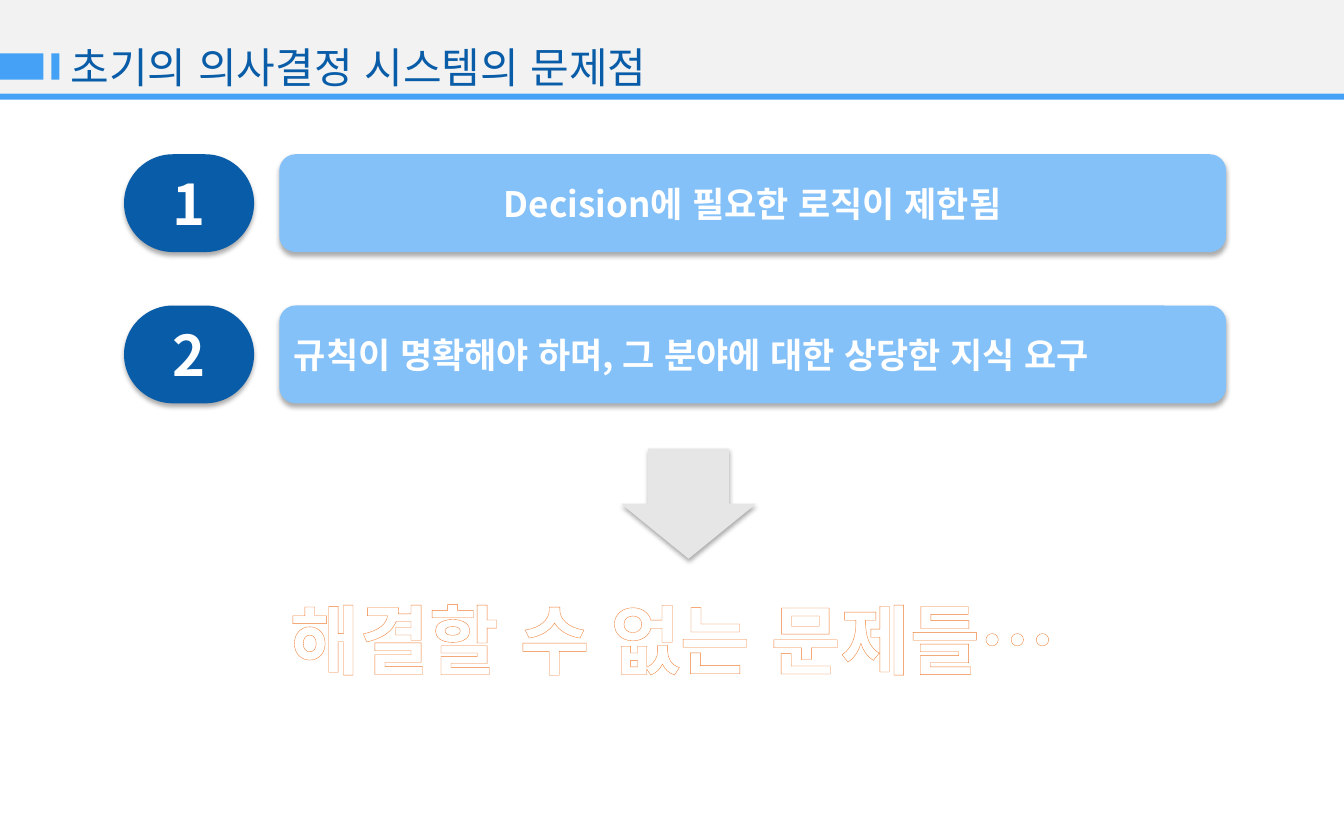
from lxml.etree import SubElement
from pptx import Presentation
from pptx.dml.color import RGBColor
from pptx.enum.lang import MSO_LANGUAGE_ID
from pptx.enum.shapes import MSO_SHAPE
from pptx.enum.text import MSO_ANCHOR, MSO_AUTO_SIZE, PP_ALIGN
from pptx.oxml import parse_xml
from pptx.oxml.ns import nsdecls, qn
from pptx.util import Inches, Pt

PALE_GRAY = RGBColor(0xF2, 0xF2, 0xF2)
ARROW_GRAY = RGBColor(0xE7, 0xE6, 0xE6)
BRIGHT_BLUE = RGBColor(0x45, 0xA1, 0xF5)
LIGHT_BLUE = RGBColor(0x84, 0xC1, 0xF8)
DARK_BLUE = RGBColor(0x09, 0x5C, 0xA7)
WHITE = RGBColor(0xFF, 0xFF, 0xFF)
ORANGE = RGBColor(0xED, 0x7D, 0x31)
KOREAN_FONT = "Noto Sans CJK KR"

TITLE_FORMAT = {"size": Pt(30), "bold": False, "name": KOREAN_FONT}
BAR_FORMAT = {"size": Pt(25), "bold": True, "name": KOREAN_FONT}
NUMBER_FORMAT = {"size": Pt(40), "bold": True, "name": KOREAN_FONT}
CLOSING_FORMAT = {"size": Pt(54), "bold": True, "name": "Calibri"}

PROBLEMS = [
    ("Decision에 필요한 로직이 제한됨", PP_ALIGN.CENTER),
    ("규칙이 명확해야 하며, 그 분야에 대한 상당한 지식 요구", PP_ALIGN.LEFT),
]


def write_text(shape, text, color, alignment, anchor, font_format):
    """Write one formatted Korean paragraph and return its span."""
    shape.text_frame.vertical_anchor = anchor
    para = shape.text_frame.paragraphs[0]
    para.alignment = alignment
    span = para.add_run()
    span.text = text
    span.font.color.rgb = color
    span.font.language_id = MSO_LANGUAGE_ID.KOREAN
    for name, value in font_format.items():
        setattr(span.font, name, value)
    SubElement(span.font._element, qn("a:ea"), typeface=KOREAN_FONT)
    return span


def add_block(page, kind, left, top, width, height, color):
    """Add a filled shape without line or shadow, measured in inches."""
    block = page.shapes.add_shape(
        kind, Inches(left), Inches(top), Inches(width), Inches(height)
    )
    block.shadow.inherit = False
    block.fill.solid()
    block.fill.fore_color.rgb = color
    block.line.fill.background()
    return block


def drop_shadow(shape):
    """Give the shape a soft shadow below it."""
    effects = shape._element.spPr.find(qn("a:effectLst"))
    effects.append(parse_xml(
        f'<a:outerShdw {nsdecls("a")} blurRad="{Pt(3.5)}" dist="{Pt(2.2)}" '
        'dir="5400000" algn="t" rotWithShape="0"><a:srgbClr val="000000">'
        '<a:alpha val="32000"/></a:srgbClr></a:outerShdw>'
    ))


def add_header(page, width, height):
    """Place the title band, its markers, the rule and the title."""
    add_block(page, MSO_SHAPE.RECTANGLE, 0, 0, width, height, PALE_GRAY)
    for left, marker_width in ((0, 0.43), (0.51, 0.08)):
        add_block(page, MSO_SHAPE.RECTANGLE, left, height - 0.4,
                  marker_width, 0.26, BRIGHT_BLUE)
    add_block(page, MSO_SHAPE.RECTANGLE, 0, height, width, 0.06, BRIGHT_BLUE)
    title = page.shapes.title
    title.left, title.top = Inches(0.6), Inches(height - 0.57)
    title.width, title.height = Inches(6.61), Inches(0.61)
    title.text_frame.auto_size = MSO_AUTO_SIZE.NONE
    write_text(title, "초기의 의사결정 시스템의 문제점", DARK_BLUE,
               PP_ALIGN.LEFT, MSO_ANCHOR.TOP, TITLE_FORMAT)
    page.shapes._spTree.append(title._element)


def add_problem(page, left, top, number, text, alignment):
    """Place a numbered badge and the bar beside it."""
    bar = add_block(page, MSO_SHAPE.ROUNDED_RECTANGLE, left + 1.54, top,
                    9.39, 0.97, LIGHT_BLUE)
    badge = add_block(page, MSO_SHAPE.ROUNDED_RECTANGLE, left, top,
                      1.29, 0.97, DARK_BLUE)
    badge.adjustments[0] = 0.5
    for shape in (bar, badge):
        drop_shadow(shape)
    write_text(bar, text, WHITE, alignment, MSO_ANCHOR.MIDDLE, BAR_FORMAT)
    write_text(badge, str(number), WHITE, PP_ALIGN.CENTER,
               MSO_ANCHOR.MIDDLE, NUMBER_FORMAT)


def add_arrow(page, left, top, width, height):
    """Place the arrow that leads down to the conclusion."""
    arrow = add_block(page, MSO_SHAPE.DOWN_ARROW, left, top,
                      width, height, ARROW_GRAY)
    arrow.adjustments[0] = 0.6
    arrow.adjustments[1] = 0.5
    drop_shadow(arrow)


def add_closing(page, left, top, width, height):
    """Place the outlined concluding words."""
    box = page.shapes.add_textbox(
        Inches(left), Inches(top), Inches(width), Inches(height)
    )
    box.text_frame.word_wrap = False
    span = write_text(box, "해결할 수 없는 문제들…", WHITE, PP_ALIGN.CENTER,
                      MSO_ANCHOR.TOP, CLOSING_FORMAT)
    span.font._element.insert(0, parse_xml(
        f'<a:ln {nsdecls("a")} w="{Pt(0.52)}"><a:solidFill>'
        f'<a:srgbClr val="{ORANGE}"/></a:solidFill></a:ln>'
    ))


def main():
    """Build the slide and save it."""
    deck = Presentation()
    deck.slide_width, deck.slide_height = Inches(13.33), Inches(8.33)
    page = deck.slides.add_slide(deck.slide_layouts[5])
    add_header(page, 13.33, 0.93)
    for index, (text, alignment) in enumerate(PROBLEMS):
        add_problem(page, 1.23, 1.53 + 1.5 * index, index + 1, text, alignment)
    add_arrow(page, 6.16, 4.45, 1.34, 1.09)
    add_closing(page, 2.6, 5.83, 8.14, 1.01)
    deck.save("out.pptx")


if __name__ == "__main__":
    main()
